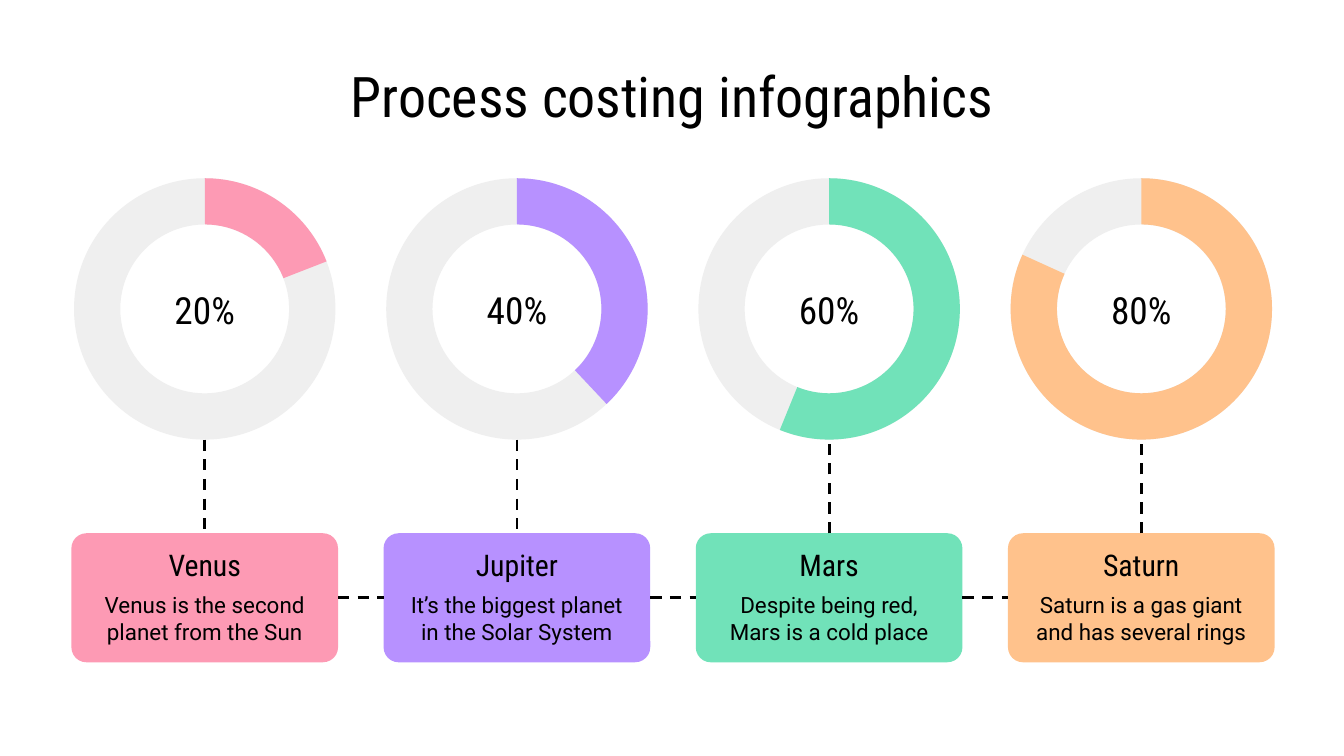
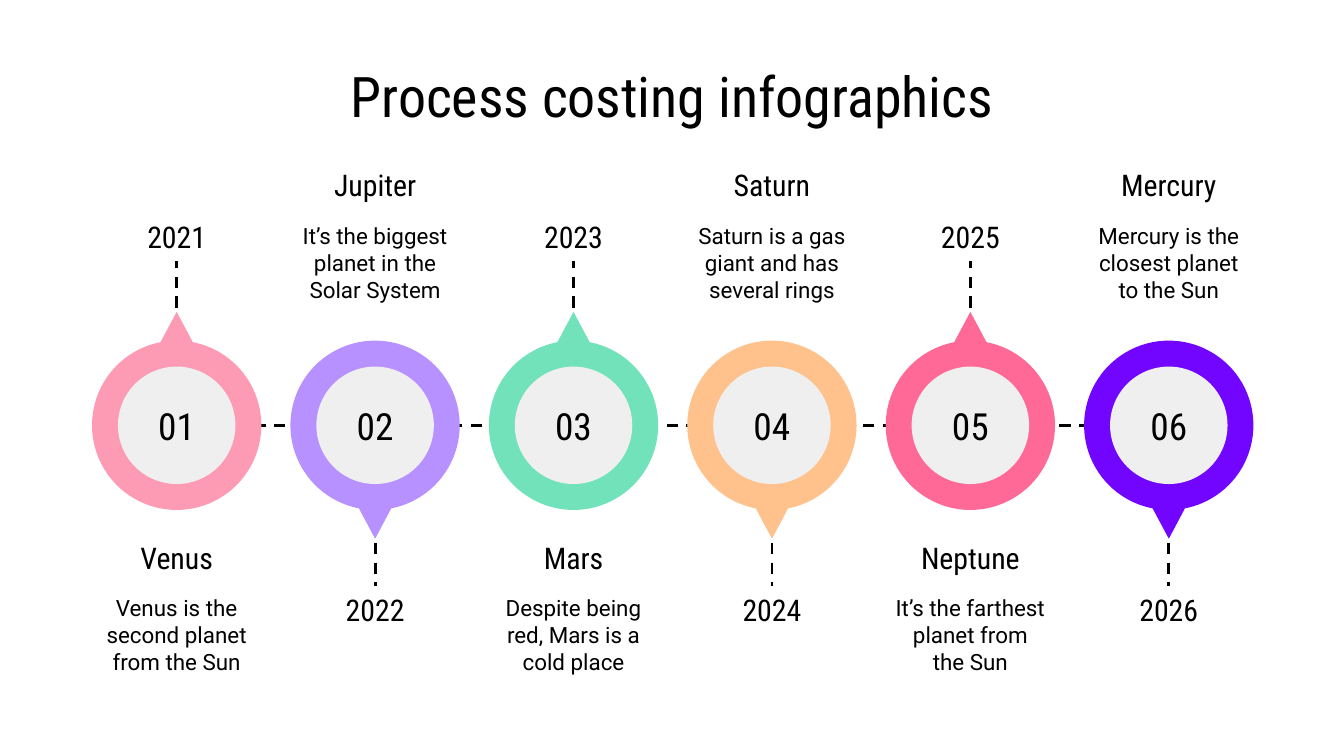
"""Build two process costing infographic slides."""
from lxml import etree
from pptx import Presentation
from pptx import util as u
from pptx.dml import color as colors
from pptx.enum import dml, shapes, text
from pptx.oxml import ns

BLACK, GREY = "000000", "EFEFEF"
PINK, PURPLE, GREEN, ORANGE = "FD9AB4", "B791FF", "71E2B9", "FFC28C"
ROSE, VIOLET = "FF6997", "7205FF"
HEADING, BODY = "Roboto Condensed", "Roboto"
VENUS = ("Venus", "Venus is the second planet from the Sun", PINK)
JUPITER = ("Jupiter", "It’s the biggest planet in the Solar System", PURPLE)
MARS = ("Mars", "Despite being red, Mars is a cold place", GREEN)
SATURN = ("Saturn", "Saturn is a gas giant and has several rings", ORANGE)
NEPTUNE = ("Neptune", "It’s the farthest planet from the Sun", ROSE)
MERCURY = ("Mercury", "Mercury is the closest planet to the Sun", VIOLET)


def paint(shape, fill):
    shape.shadow.inherit = False
    shape.fill.solid()
    shape.fill.fore_color.rgb = colors.RGBColor.from_string(fill)
    shape.line.fill.background()


def write(shape, words, size, font=HEADING, anchor=text.MSO_ANCHOR.MIDDLE):
    frame = shape.text_frame
    frame.word_wrap = True
    frame.vertical_anchor = anchor
    frame.margin_left = frame.margin_right = u.Cm(0.25)
    frame.margin_top = frame.margin_bottom = u.Cm(0.25)
    paragraph = frame.paragraphs[0]
    paragraph.alignment = text.PP_ALIGN.CENTER
    run = paragraph.add_run()
    run.text = words
    run.font.size = u.Pt(size)
    run.font.name = font
    run.font.color.rgb = colors.RGBColor.from_string(BLACK)


presentation = Presentation()
presentation.slide_width = u.Cm(25.4)
presentation.slide_height = u.Cm(14.29)
for number in range(2):
    slide = presentation.slides.add_slide(presentation.slide_layouts[6])
    title = slide.shapes.add_textbox(u.Cm(1.27), u.Cm(1.14), u.Cm(22.87), u.Cm(1.32))
    write(title, "Process costing infographics", 30)
rings_slide, timeline_slide = presentation.slides

ring_size, ring_top = 4.94, 3.37
card_width, card_height, card_top = 5.04, 2.44, 10.08
ring_bottom = ring_top + ring_size
arc_ends = [149.21, 190.01, 13.3, 68.71]
previous_card = None
for index, (name, description, fill) in enumerate([VENUS, JUPITER, MARS, SATURN]):
    center = 3.87 + 5.9 * index
    ring_box = [u.Cm(v) for v in (center - ring_size / 2, ring_top, ring_size, ring_size)]
    ring = rings_slide.shapes.add_shape(shapes.MSO_SHAPE.DONUT, *ring_box)
    ring.adjustments[0] = 0.177
    paint(ring, GREY)
    arc = rings_slide.shapes.add_shape(shapes.MSO_SHAPE.BLOCK_ARC, *ring_box)
    arc.rotation = 90
    for position, value in enumerate((108, arc_ends[index], 0.177)):
        arc.adjustments[position] = value
    paint(arc, fill)

    card = rings_slide.shapes.add_shape(
        shapes.MSO_SHAPE.ROUNDED_RECTANGLE, u.Cm(center - card_width / 2), u.Cm(card_top),
        u.Cm(card_width), u.Cm(card_height))
    card.adjustments[0] = 0.117
    paint(card, fill)
    for words, size, font, width, top, height in (
            (f"{20 * (index + 1)}%", 20, HEADING, 3.18, 5.08, 1.55),
            (name, 16, HEADING, 4.84, 10.29, 0.76),
            (description, 12, BODY, 4.84, 11.06, 1.24)):
        label = rings_slide.shapes.add_textbox(
            u.Cm(center - width / 2), u.Cm(top), u.Cm(width), u.Cm(height))
        write(label, words, size, font)

    upward = index > 1
    start, end = (card_top, ring_bottom) if upward else (ring_bottom, card_top)
    stem = rings_slide.shapes.add_connector(
        shapes.MSO_CONNECTOR.STRAIGHT, u.Cm(center), u.Cm(start), u.Cm(center), u.Cm(end))
    if upward:
        stem.begin_connect(card, 0)
    else:
        stem.end_connect(card, 0)
    if previous_card:
        link = rings_slide.shapes.add_connector(shapes.MSO_CONNECTOR.STRAIGHT, 0, 0, 0, 0)
        link.begin_connect(previous_card, 3)
        link.end_connect(card, 1)
    previous_card = card

axis, marker_size, disc_size, text_width = 8.04, 3.2, 2.22, 3.35
timeline_slide.shapes.add_connector(
    shapes.MSO_CONNECTOR.STRAIGHT, u.Cm(4.44), u.Cm(axis), u.Cm(20.98), u.Cm(axis))
planets = [VENUS, JUPITER, MARS, SATURN, NEPTUNE, MERCURY]
for index, (name, description, fill) in enumerate(planets):
    center = 3.34 + 3.75 * index
    if index % 2:
        direction, stem_end, year_top, name_top = 1, 11.07, 11.07, 3.05
    else:
        direction, stem_end, year_top, name_top = -1, 4.93, 4.03, 10.09
    timeline_slide.shapes.add_connector(
        shapes.MSO_CONNECTOR.STRAIGHT, u.Cm(center), u.Cm(axis + direction * disc_size / 2),
        u.Cm(center), u.Cm(stem_end))

    for kind, size, color in (
            (shapes.MSO_SHAPE.OVAL_CALLOUT, marker_size, fill),
            (shapes.MSO_SHAPE.OVAL, disc_size, GREY)):
        disc = timeline_slide.shapes.add_shape(
            kind, u.Cm(center - size / 2), u.Cm(axis - size / 2), u.Cm(size), u.Cm(size))
        paint(disc, color)
        if kind == shapes.MSO_SHAPE.OVAL_CALLOUT:
            disc.adjustments[0] = 0
            disc.adjustments[1] = direction * 0.67
    write(disc, f"{index + 1:02}", 20)

    for words, size, font, top, height, anchor in (
            (str(2021 + index), 16, HEADING, year_top, 0.89, text.MSO_ANCHOR.MIDDLE),
            (name, 16, HEADING, name_top, 0.89, text.MSO_ANCHOR.MIDDLE),
            (description, 12, BODY, name_top + 0.9, 1.96, text.MSO_ANCHOR.TOP)):
        label = timeline_slide.shapes.add_textbox(
            u.Cm(center - text_width / 2), u.Cm(top), u.Cm(text_width), u.Cm(height))
        write(label, words, size, font, anchor)

for slide in presentation.slides:
    for shape in slide.shapes:
        if shape.shape_type == shapes.MSO_SHAPE_TYPE.LINE:
            shape.line.color.rgb = colors.RGBColor.from_string(BLACK)
            shape.line.width = u.Pt(1.5)
            shape.line.dash_style = dml.MSO_LINE.DASH
            etree.SubElement(shape.element.spPr, ns.qn("a:effectLst"))

presentation.save("out.pptx")
